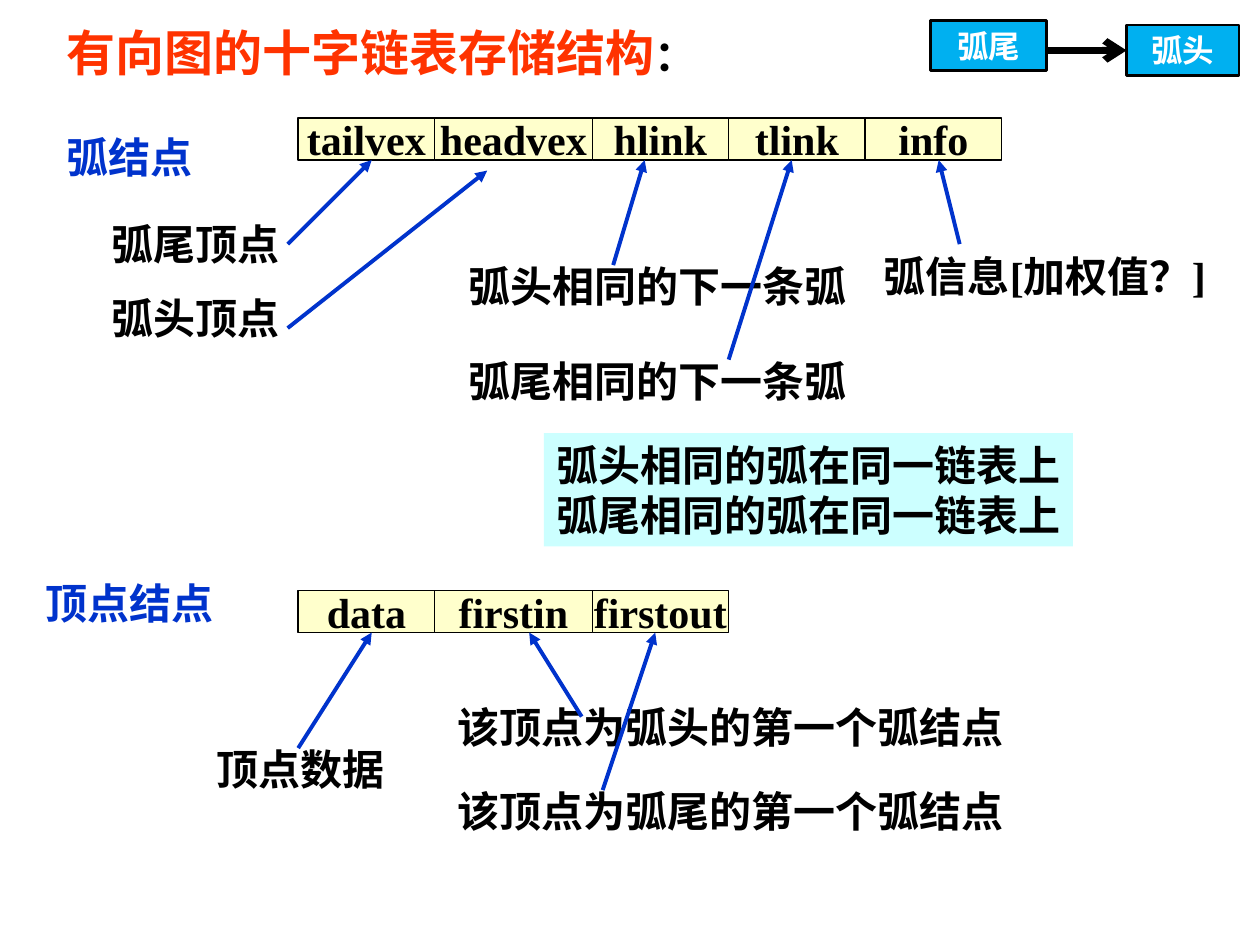
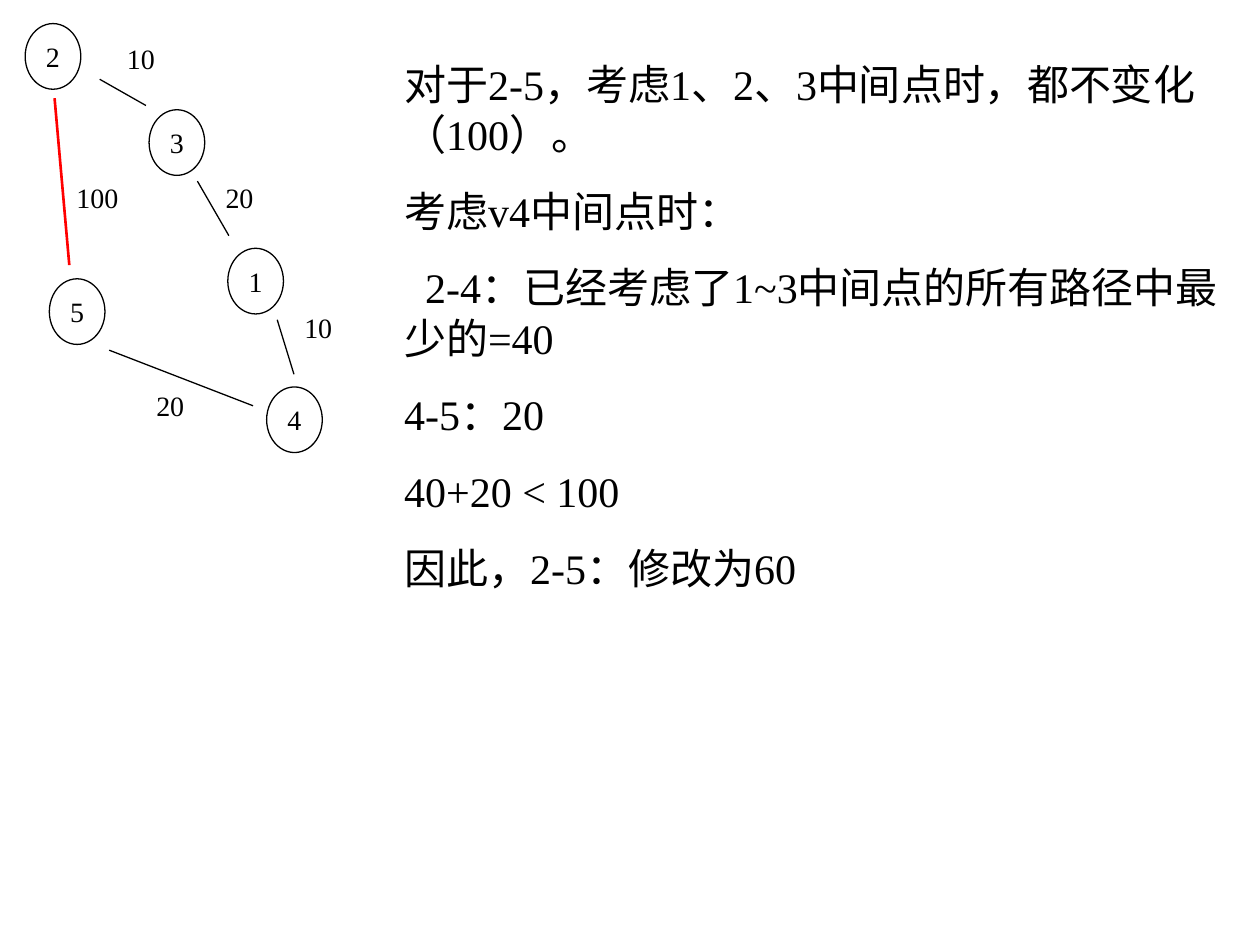
from dataclasses import dataclass

from lxml import etree
from pptx import Presentation
from pptx.dml.color import RGBColor
from pptx.enum import shapes, text
from pptx.oxml.ns import qn
from pptx.util import Emu, Inches, Pt

# Shared look and grid: 120 columns by 90 rows, shifted by a small margin
HUES = {"ink": "000000", "blue": "0033CC", "title": "FF3300", "cell": "FFFFCC",
        "note": "CCFFFF", "badge": "00B0F0", "white": "FFFFFF", "red": "FF0000"}
FONT = "Times New Roman"
WIDE, HIGH = Inches(10), Inches(7.5)
STEP_X, STEP_Y = WIDE / 120, HIGH / 90
EDGE_X, EDGE_Y = 0.4, 0.25


@dataclass
class Box:
    col: float
    row: float
    wide: float
    high: float = 6


@dataclass
class Label:
    text: str
    box: Box
    tint: str = "ink"
    wrap: bool = True


@dataclass
class Edge:
    start: tuple[float, float]
    end: tuple[float, float]
    tint: str = "blue"
    width: float = 2.25
    head: str = ""


def hue(name: str) -> RGBColor:
    return RGBColor.from_string(HUES[name])


def spot(col: float, row: float) -> tuple[Emu, Emu]:
    return Emu(round((col + EDGE_X) * STEP_X)), Emu(round((row + EDGE_Y) * STEP_Y))


def place(box: Box) -> tuple[Emu, ...]:
    return (*spot(box.col, box.row),
            Emu(round(box.wide * STEP_X)), Emu(round(box.high * STEP_Y)))


def say(shape, words: str, *, size: float = 24, tint: str = "ink", bold: bool = True,
        center: bool = False, gap: float = 0, indent: float = 0, join: bool = False) -> None:
    """Add a paragraph, or with join a run at the end of the last one."""
    frame = shape.text_frame
    para = frame.paragraphs[-1]
    if para.runs and not join:
        para = frame.add_paragraph()
    if center:
        para.alignment = text.PP_ALIGN.CENTER
    if gap:
        para.space_before = Pt(gap)
    if indent:
        para._p.get_or_add_pPr().set("indent", str(Pt(indent)))
    run = para.add_run()
    run.text = words
    run.font.name, run.font.size, run.font.bold = FONT, Pt(size), bold
    run.font.color.rgb = hue(tint)


def field(slide, box: Box, wrap: bool = True):
    shape = slide.shapes.add_textbox(*place(box))
    shape.text_frame.word_wrap = wrap
    return shape


def block(slide, box: Box, fill: str = "", line: float = 0, middle: bool = False,
          wrap: bool = True, kind=shapes.MSO_SHAPE.RECTANGLE):
    shape = slide.shapes.add_shape(kind, *place(box))
    shape.shadow.inherit = False
    if fill:
        shape.fill.solid()
        shape.fill.fore_color.rgb = hue(fill)
    else:
        shape.fill.background()
    if line:
        shape.line.color.rgb = hue("ink")
        shape.line.width = Pt(line)
    else:
        shape.line.fill.background()
    frame = shape.text_frame
    frame.word_wrap = wrap
    frame.vertical_anchor = text.MSO_ANCHOR.MIDDLE if middle else text.MSO_ANCHOR.TOP
    return shape


def draw(slide, edge: Edge):
    link = slide.shapes.add_connector(shapes.MSO_CONNECTOR.STRAIGHT,
                                      *spot(*edge.start), *spot(*edge.end))
    link.line.color.rgb = hue(edge.tint)
    link.line.width = Pt(edge.width)
    if edge.head:
        etree.SubElement(link.line._get_or_add_ln(), qn("a:tailEnd"), type=edge.head)
    etree.SubElement(link._element.spPr, qn("a:effectLst"))
    return link


# Slide 1: node layouts of the orthogonal list
CELLS = {11: ["tailvex", "headvex", "hlink", "tlink", "info"],
         56: ["data", "firstin", "firstout"]}
SPANS = [13, 15, 13, 13, 13]
LABELS = [
    Label("弧尾顶点", Box(9, 20, 22.2)),
    Label("弧头顶点", Box(9, 27, 23.2)),
    Label("弧头相同的下一条弧", Box(43, 24, 42.1)),
    Label("弧尾相同的下一条弧", Box(43, 33, 44)),
    Label("弧信息[加权值？]", Box(82.6, 23, 35.9), wrap=False),
    Label("顶点结点", Box(2.8, 54.2, 24.4), "blue"),
    Label("顶点数据", Box(19, 70, 18.4), wrap=False),
    Label("该顶点为弧头的第一个弧结点", Box(42, 66, 58.2)),
    Label("该顶点为弧尾的第一个弧结点", Box(42, 74, 64)),
]
ARROWS = [((27, 23), (35, 15)), ((27, 31), (46, 16)), ((58, 25), (61, 15)),
          ((69, 34), (75, 15)), ((91, 23), (89, 15)), ((28, 71), (35, 60)),
          ((55, 68), (50, 60)), ((57, 75), (62, 60))]


def lists(slide) -> None:
    # Heading
    head = field(slide, Box(4.8, 1.3, 110.2, 21.2))
    say(head, "有向图的十字链表存储结构", size=28, tint="title")
    say(head, "：", join=True)
    say(head, "弧结点", tint="blue", gap=28.5)

    # Node cells
    for row, names in CELLS.items():
        col = 28
        for name, span in zip(names, SPANS):
            cell = block(slide, Box(col, row, span, 4), "cell", 0.75, middle=True, wrap=False)
            say(cell, name, center=True)
            col += span

    # Field meanings and their arrows
    for label in LABELS:
        say(field(slide, label.box, label.wrap), label.text, tint=label.tint)
    for start, end in ARROWS:
        draw(slide, Edge(start, end, head="triangle"))

    # Rule of the lists
    note = block(slide, Box(51.4, 41, 50.4, 10.8), "note", wrap=False)
    for end in ("弧头", "弧尾"):
        say(note, f"{end}相同的弧在同一链表上")

    # Tail and head of an arc
    tail = block(slide, Box(88.2, 1.7, 11.1, 4.8), "badge", 1.5)
    tip = block(slide, Box(106.9, 2.15, 10.7, 4.8), "badge", 1.5)
    say(tail, "弧尾", size=18, tint="white")
    say(tip, "弧头", size=18, tint="white")
    arc = draw(slide, Edge((99.3, 4.55), (106.9, 4.55), "ink", 4, "arrow"))
    arc.end_connect(tip, 1)


# Slide 2: shortest path through v4
NODES = {"3": (13.8, 10.2), "1": (21.3, 23.4), "5": (4.3, 26.3),
         "4": (25, 36.6), "2": (2, 2)}
EDGES = [
    Edge((4.8, 9.1), (6.2, 25), "red", 1.5),
    Edge((9.1, 7.3), (13.5, 9.8), "ink", 0.75),
    Edge((18.4, 17), (21.4, 22.2), "ink", 0.75),
    Edge((26, 30.2), (27.6, 35.4), "ink", 0.75),
    Edge((23.7, 38.4), (10, 33.1), "ink", 0.75),
]
COSTS = [("100", 5.7, 16.4), ("10", 10.5, 3.1), ("20", 19.9, 16.4),
         ("10", 27.4, 28.7), ("20", 13.3, 36.2)]
# Each line with its first-line indent
STEPS = [("对于2-5，考虑1、2、3中间点时，都不变化（100）。", 0),
         ("考虑v4中间点时：", 0),
         ("2-4：已经考虑了1~3中间点的所有路径中最少的=40", 12),
         ("4-5：20", 0), ("40+20 < 100", 0), ("因此，2-5：修改为60", 0)]


def paths(slide) -> None:
    # Graph
    for name, (col, row) in NODES.items():
        node = block(slide, Box(col, row, 5.3, 6.25), line=0.75, middle=True,
                     kind=shapes.MSO_SHAPE.OVAL)
        say(node, name, size=16, bold=False, center=True)
    for edge in EDGES:
        draw(slide, edge)
    for cost, col, row in COSTS:
        tag = field(slide, Box(col, row, 2.4 + 1.32 * len(cost), 4.4), wrap=False)
        say(tag, cost, size=16, bold=False)

    # Reasoning
    body = field(slide, Box(36.9, 4.7, 80.3, 52.1))
    for rank, (step, indent) in enumerate(STEPS):
        say(body, step, bold=False, gap=15 if rank else 0, indent=indent)


def main() -> None:
    deck = Presentation()
    deck.slide_width, deck.slide_height = WIDE, HIGH
    for fill in (lists, paths):
        fill(deck.slides.add_slide(deck.slide_layouts[6]))
    deck.save("out.pptx")


if __name__ == "__main__":
    main()
